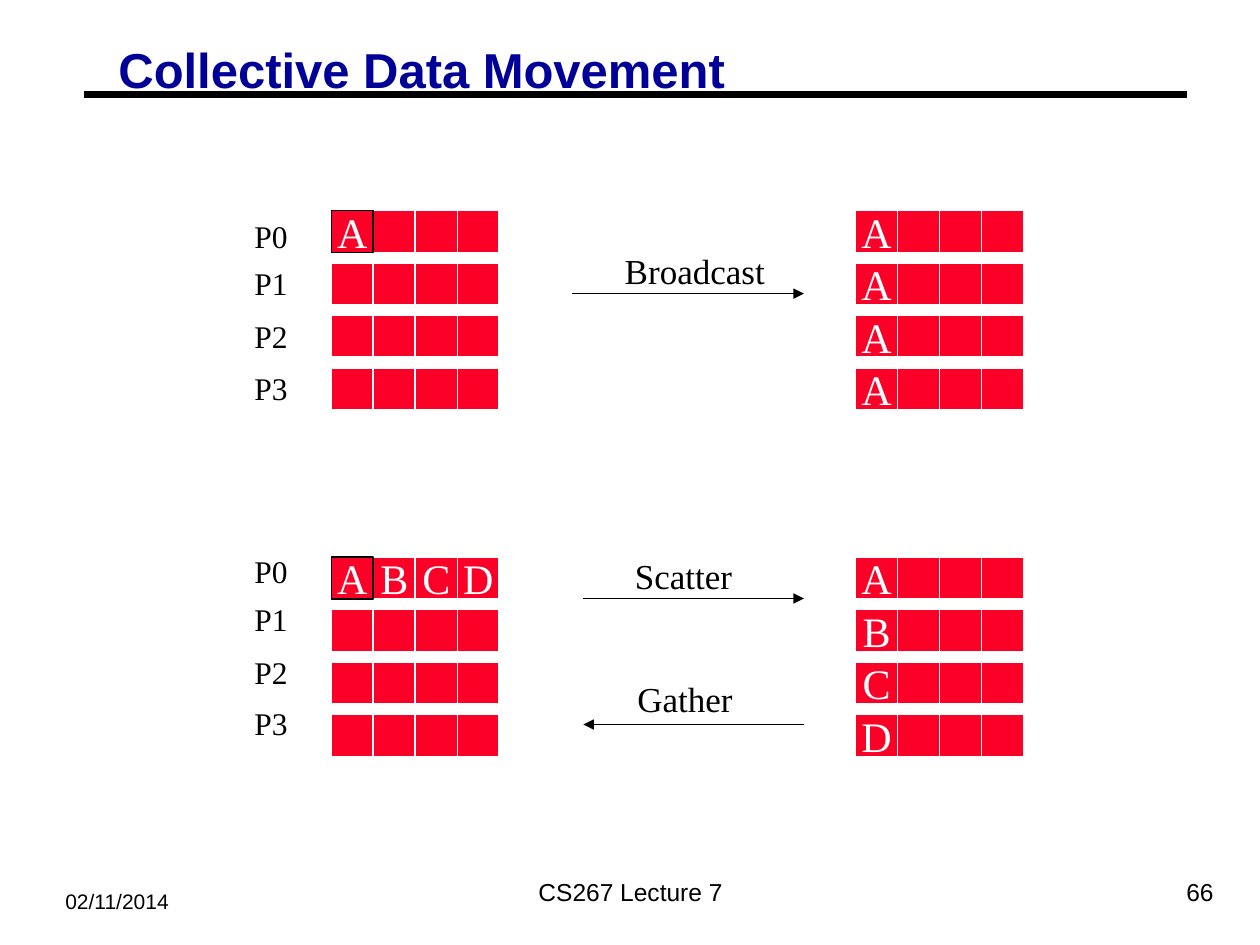
from lxml.etree import SubElement
from pptx import Presentation
from pptx.dml.color import RGBColor
from pptx.enum.shapes import MSO_CONNECTOR, MSO_SHAPE
from pptx.enum.text import MSO_ANCHOR, PP_ALIGN
from pptx.oxml.ns import qn
from pptx.util import Inches, Pt

SERIF = "Times New Roman"
SANS = "Arial"
BLACK, WHITE, RED, NAVY = "000000", "FFFFFF", "FC0128", "000099"
CELL = 1 / 3
ROW_PITCH = 5 / 12


def write(shape, text, size, font_name, color, align=PP_ALIGN.LEFT,
          anchor=MSO_ANCHOR.TOP, wrap=False):
    frame = shape.text_frame
    frame.text = text
    frame.word_wrap = wrap
    frame.vertical_anchor = anchor
    paragraph = frame.paragraphs[0]
    paragraph.alignment = align
    paragraph.font.size = Pt(size)
    paragraph.font.name = font_name
    paragraph.font.color.rgb = RGBColor.from_string(color)


def add_line(left, right, y, width, arrow_end=None):
    """Add a horizontal line; arrow_end is "headEnd", "tailEnd" or None."""
    line = slide.shapes.add_connector(
        MSO_CONNECTOR.STRAIGHT, Inches(left), Inches(y), Inches(right), Inches(y))
    line.line.color.rgb = RGBColor.from_string(BLACK)
    line.line.width = Pt(width)
    properties = line.element.spPr
    if arrow_end:
        SubElement(properties.get_or_add_ln(), qn(f"a:{arrow_end}"), type="triangle")
    SubElement(properties, qn("a:effectLst"))
    return line


presentation = Presentation()
presentation.slide_width = Inches(10)
presentation.slide_height = Inches(7.5)
slide = presentation.slides.add_slide(presentation.slide_layouts[5])

# Title, with the rule behind it
title = slide.shapes.title
title.left, title.top = Inches(0.87), Inches(0.34)
title.width, title.height = Inches(5), Inches(0.48)
write(title, "Collective Data Movement", 28, SANS, NAVY, wrap=True)
title.text_frame.margin_left = title.text_frame.margin_right = Inches(0.07)
title.text_frame.margin_top = title.text_frame.margin_bottom = Inches(0.03)
title.text_frame.paragraphs[0].font.bold = True
title.text_frame.paragraphs[0].line_spacing = 0.9
title_rule = add_line(0.67, 9.42, 0.75, 3.75)
title.element.addprevious(title_rule.element)

# Footer
for text, left, top, width, height, size, align, anchor in [
    ("02/11/2014", 0.42, 7, 1.92, 0.3, 12, PP_ALIGN.LEFT, MSO_ANCHOR.TOP),
    ("CS267 Lecture 7", 3.42, 6.83, 3.17, 0.5, 14, PP_ALIGN.CENTER, MSO_ANCHOR.MIDDLE),
    ("66", 7.65, 6.83, 2.08, 0.5, 14, PP_ALIGN.RIGHT, MSO_ANCHOR.MIDDLE),
]:
    footer = slide.shapes.add_textbox(
        Inches(left), Inches(top), Inches(width), Inches(height))
    write(footer, text, size, SANS, BLACK, align, anchor, wrap=True)

# Memory grids: one string per process, one letter per filled cell
for left, top, rows, is_source in [
    (2.63, 1.67, ["A", "", "", ""], True),
    (6.79, 1.67, ["A", "A", "A", "A"], False),
    (2.63, 4.42, ["ABCD", "", "", ""], True),
    (6.79, 4.42, ["A", "B", "C", "D"], False),
]:
    for row, letters in enumerate(rows):
        # Right to left, so that the outlined first cell lies on top
        for column in reversed(range(4)):
            cell = slide.shapes.add_shape(
                MSO_SHAPE.RECTANGLE,
                Inches(left + column * CELL), Inches(top + row * ROW_PITCH),
                Inches(CELL), Inches(CELL))
            cell.shadow.inherit = False
            cell.fill.solid()
            cell.fill.fore_color.rgb = RGBColor.from_string(RED)
            outlined = is_source and row == column == 0
            cell.line.color.rgb = RGBColor.from_string(BLACK if outlined else WHITE)
            cell.line.width = Pt(1)
            if column < len(letters):
                write(cell, letters[column], 24, SERIF, WHITE,
                      PP_ALIGN.CENTER, MSO_ANCHOR.MIDDLE)

# Process labels
for top in (1.67, 4.33):
    for process, offset in enumerate((0, 0.38, 0.8, 1.21)):
        label = slide.shapes.add_textbox(
            Inches(1.92), Inches(top + offset), Inches(0.5), Inches(0.4))
        write(label, f"P{process}", 18, SERIF, BLACK)

# Operations between the grids
for name, text_left, text_top, text_width, arrow_left, arrow_y, arrow_end in [
    ("Broadcast", 4.86, 1.93, 1.35, 4.54, 2.33, "tailEnd"),
    ("Scatter", 4.94, 4.35, 1, 4.63, 4.75, "tailEnd"),
    ("Gather", 4.96, 5.33, 1, 4.63, 5.75, "headEnd"),
]:
    add_line(arrow_left, 6.38, arrow_y, 1, arrow_end)
    operation = slide.shapes.add_textbox(
        Inches(text_left), Inches(text_top), Inches(text_width), Inches(0.44))
    write(operation, name, 20, SERIF, BLACK)

presentation.save("out.pptx")
